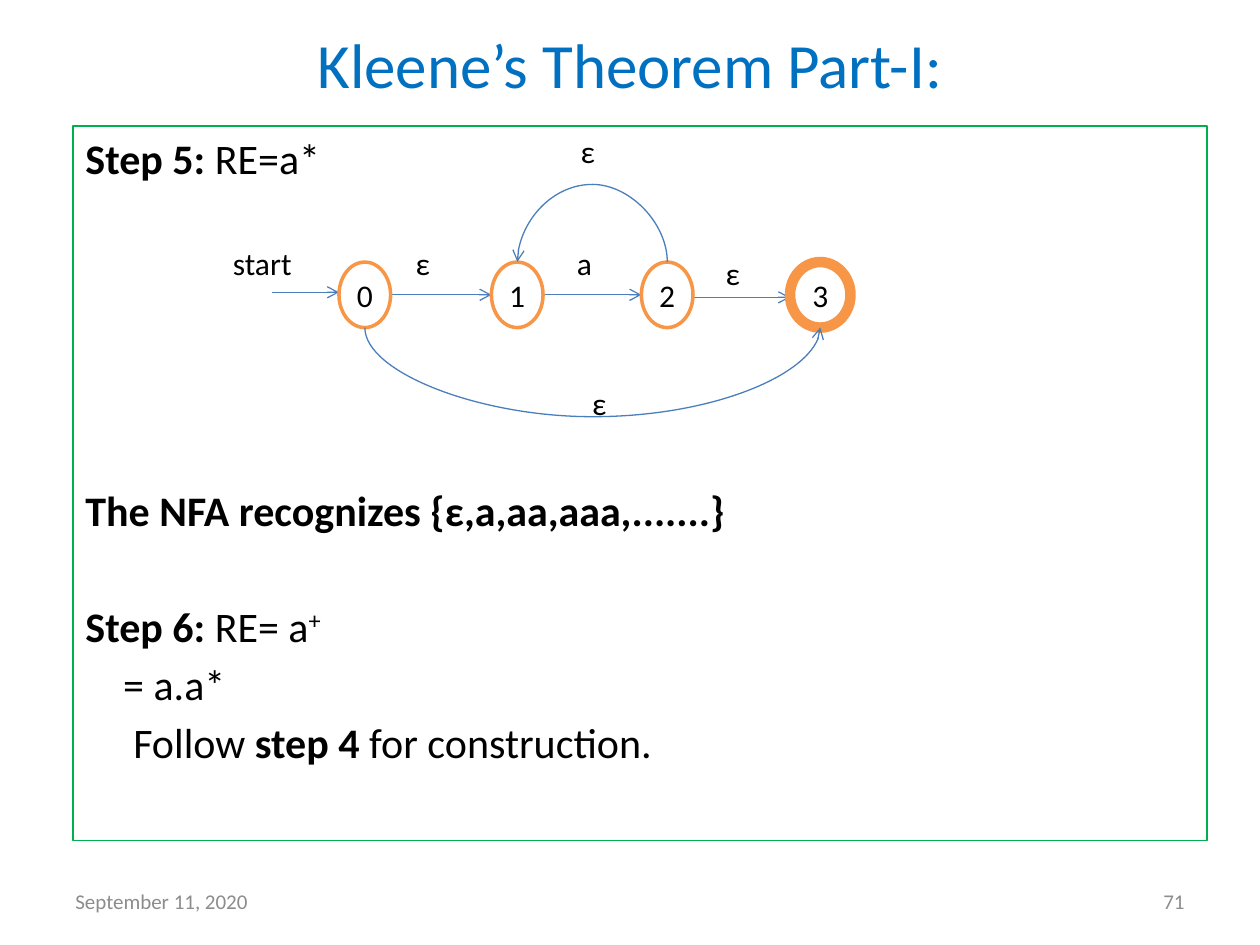
from dataclasses import dataclass

from lxml.etree import SubElement
from pptx import Presentation
from pptx.dml.color import RGBColor
from pptx.enum.shapes import MSO_CONNECTOR, MSO_SHAPE
from pptx.enum.text import MSO_ANCHOR, PP_ALIGN
from pptx.oxml.ns import qn
from pptx.util import Emu, Inches, Pt

GREEN = RGBColor(0x00, 0xB0, 0x50)
BLUE = RGBColor(0x00, 0x70, 0xC0)
ARROW_BLUE = RGBColor(0x4B, 0x7E, 0xBC)
ORANGE = RGBColor(0xF7, 0x96, 0x46)
GREY = RGBColor(0x8C, 0x8C, 0x8C)
BLACK = RGBColor(0, 0, 0)
WHITE = RGBColor(255, 255, 255)

SLIDE_WIDTH, SLIDE_HEIGHT = Inches(10), Inches(7.5)
COLUMNS, ROWS = 100, 75
STATE_TOP, STATE_HEIGHT = 20.8, 5.2
ARCH_THICKNESS = Emu(1588)


def column(count: float) -> Emu:
    return Emu(round(SLIDE_WIDTH * count / COLUMNS))


def row(count: float) -> Emu:
    return Emu(round(SLIDE_HEIGHT * count / ROWS))


@dataclass(frozen=True)
class Box:
    left: float
    top: float
    width: float
    height: float

    def place(self) -> tuple[Emu, Emu, Emu, Emu]:
        return column(self.left), row(self.top), column(self.width), row(self.height)


@dataclass(frozen=True)
class Label:
    text: str
    box: Box


@dataclass(frozen=True)
class State:
    name: str
    left: float
    width: float = 4.1
    line_width: float = 2

    @property
    def middle(self) -> float:
        return self.left + self.width / 2

    @property
    def right(self) -> float:
        return self.left + self.width


@dataclass(frozen=True)
class Arrow:
    start: float
    end: float
    height: float


@dataclass(frozen=True)
class Arch:
    left: float
    right: float
    base: float
    reach: float
    rotation: int
    flips: tuple[str, ...]


@dataclass(frozen=True)
class Line:
    runs: tuple[tuple[str, bool], ...]
    space_before: float = 4.3
    indent: float = 0
    superscript: str = ""


STATES = (State("0", 26.9), State("1", 39), State("2", 50.9), State("3", 62.7, 4.8, 6))
ZERO, ONE, TWO, THREE = STATES
ARROWS = (
    Arrow(21.6, ZERO.left, 23.2),
    Arrow(ZERO.right, ONE.left, 23.4),
    Arrow(ONE.right, TWO.left, 23.4),
    Arrow(TWO.right, THREE.left, 23.6),
)
ARCHES = (
    Arch(ONE.middle, TWO.middle, STATE_TOP, 6.8, 270, ("flipV",)),
    Arch(ZERO.middle, THREE.middle, STATE_TOP + STATE_HEIGHT, -7.8, 90, ("flipH", "flipV")),
)
LABELS = (
    Label("start", Box(17.5, 18.9, 10.6, 4.9)),
    Label("ε", Box(32, 18.9, 4.1, 4.4)),
    Label("a", Box(44.8, 18.9, 3.1, 4.4)),
    Label("ε", Box(56.6, 19.7, 4.1, 4.4)),
    Label("ε", Box(45.1, 10, 4.1, 4.4)),
    Label("ε", Box(46, 30, 4.1, 4.4)),
)
LINES = (
    Line((("Step 5: ", True), ("RE=a*", False)), 0),
    Line((("The NFA recognizes {ε,a,aa,aaa,.......}", True),), 172.4),
    Line((("Step 6: ", True), ("RE= a", False)), 37.6, superscript="+"),
    Line((("= a.a*", False),), indent=3),
    Line((("Follow ", False), ("step 4", True), (" for construction.", False)), indent=3.8),
)


def format_font(font, size: float, color: RGBColor, bold: bool = False) -> None:
    for name, value in {"name": "Calibri", "size": Pt(size), "bold": bold}.items():
        setattr(font, name, value)
    font.color.rgb = color


def add_label(slide, label: Label, size=18, color=BLACK, align=PP_ALIGN.LEFT, anchor=MSO_ANCHOR.TOP) -> None:
    frame = slide.shapes.add_textbox(*label.box.place()).text_frame
    frame.word_wrap = True
    frame.vertical_anchor = anchor
    paragraph = frame.paragraphs[0]
    paragraph.text = label.text
    paragraph.alignment = align
    format_font(paragraph.runs[0].font, size, color)


def add_title(slide, text: str, box: Box) -> None:
    title = slide.shapes.title
    for name, value in zip(("left", "top", "width", "height"), box.place()):
        setattr(title, name, value)
    title.text_frame.text = text
    title.text_frame.vertical_anchor = MSO_ANCHOR.MIDDLE
    paragraph = title.text_frame.paragraphs[0]
    paragraph.alignment = PP_ALIGN.CENTER
    format_font(paragraph.runs[0].font, 36, BLUE)


def add_body(slide, box: Box) -> None:
    shape = slide.shapes.add_textbox(*box.place())
    shape.line.color.rgb = GREEN
    shape.line.width = Pt(0.75)
    frame = shape.text_frame
    frame.word_wrap = True
    for index, line in enumerate(LINES):
        paragraph = frame.add_paragraph() if index else frame.paragraphs[0]
        paragraph.space_before = Pt(line.space_before)
        paragraph._p.get_or_add_pPr().set("marL", str(column(line.indent)))
        for text, bold in line.runs:
            run = paragraph.add_run()
            run.text = text
            format_font(run.font, 24, BLACK, bold)
        if line.superscript:
            run = paragraph.add_run()
            run.text = line.superscript
            format_font(run.font, 24, BLACK)
            run._r.get_or_add_rPr().set("baseline", "30000")


def add_state(slide, state: State) -> None:
    box = Box(state.left, STATE_TOP, state.width, STATE_HEIGHT)
    shape = slide.shapes.add_shape(MSO_SHAPE.OVAL, *box.place())
    shape.shadow.inherit = False
    shape.fill.solid()
    shape.fill.fore_color.rgb = WHITE
    shape.line.color.rgb = ORANGE
    shape.line.width = Pt(state.line_width)
    frame = shape.text_frame
    margins = dict.fromkeys(("margin_left", "margin_right", "margin_top", "margin_bottom"), 0)
    for name, value in {**margins, "vertical_anchor": MSO_ANCHOR.MIDDLE}.items():
        setattr(frame, name, value)
    paragraph = frame.paragraphs[0]
    paragraph.text = state.name
    paragraph.alignment = PP_ALIGN.CENTER
    format_font(paragraph.runs[0].font, 18, BLACK)


def add_arrow(slide, kind, start_x: Emu, start_y: Emu, end_x: Emu, end_y: Emu):
    connector = slide.shapes.add_connector(kind, start_x, start_y, end_x, end_y)
    connector.line.color.rgb = ARROW_BLUE
    connector.line.width = Pt(0.75)
    SubElement(connector.line._get_or_add_ln(), qn("a:tailEnd"), type="arrow")
    properties = connector._element.spPr
    SubElement(properties, qn("a:effectLst"))
    return properties


def add_arch(slide, arch: Arch) -> None:
    middle = column((arch.left + arch.right) / 2)
    half_span = column((arch.right - arch.left) / 2)
    base = row(arch.base)
    properties = add_arrow(slide, MSO_CONNECTOR.CURVE, middle, base - half_span,
                           middle + ARCH_THICKNESS, base + half_span)
    transform = properties.find(qn("a:xfrm"))
    transform.set("rot", str(arch.rotation * 60000))
    for flip in arch.flips:
        transform.set(flip, "1")
    adjustment = round(row(arch.reach) / ARCH_THICKNESS * 100000)
    guides = properties.find(qn("a:prstGeom")).find(qn("a:avLst"))
    SubElement(guides, qn("a:gd"), name="adj1", fmla=f"val {adjustment}")


def main() -> None:
    presentation = Presentation()
    presentation.slide_width, presentation.slide_height = SLIDE_WIDTH, SLIDE_HEIGHT
    slide = presentation.slides.add_slide(presentation.slide_layouts[5])
    add_body(slide, Box(5.8, 10, 90, 56.7))
    add_title(slide, "Kleene’s Theorem Part-I:", Box(5, 1.7, 90, 6.7))
    for text, left, align in (("September 11, 2020", 5, PP_ALIGN.LEFT), ("71", 71.7, PP_ALIGN.RIGHT)):
        add_label(slide, Label(text, Box(left, 69.5, 23.3, 4)), 12, GREY, align, MSO_ANCHOR.MIDDLE)
    for arrow in ARROWS:
        height = row(arrow.height)
        add_arrow(slide, MSO_CONNECTOR.STRAIGHT, column(arrow.start), height, column(arrow.end), height)
    for state in STATES:
        add_state(slide, state)
    for arch in ARCHES:
        add_arch(slide, arch)
    for label in LABELS:
        add_label(slide, label)
    presentation.save("out.pptx")


if __name__ == "__main__":
    main()
